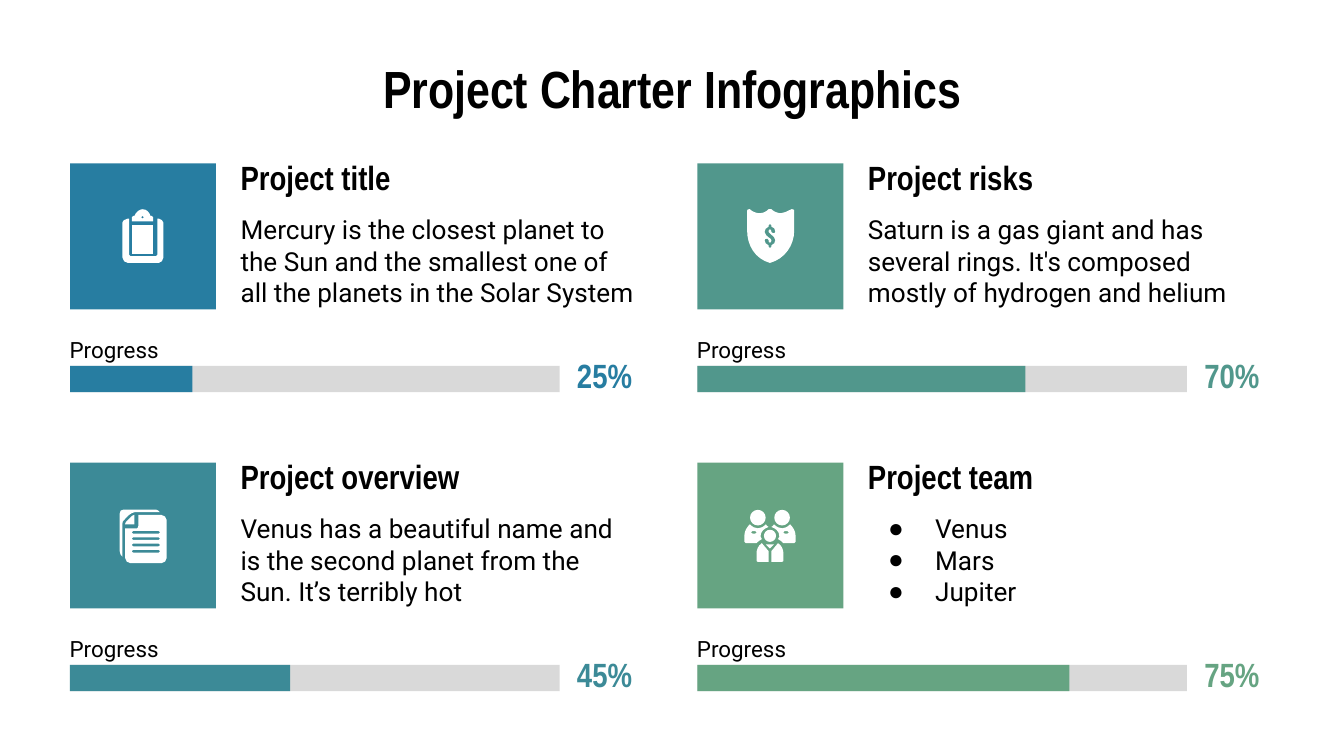
from lxml.etree import SubElement
from pptx import Presentation
from pptx.dml.color import RGBColor
from pptx.enum.shapes import MSO_SHAPE
from pptx.enum.text import MSO_ANCHOR, PP_ALIGN
from pptx.oxml.ns import qn
from pptx.util import Pt

COLORS = {
    "black": "000000", "white": "FFFFFF", "track": "D9D9D9",
    "blue": "277DA1", "teal": "3C8A97", "green": "51978C", "leaf": "66A482",
}
HEADING_FONT, BODY_FONT, BULLET_FONT = "Arial Narrow", "Roboto", "Arial"
LEFT, TOP, COLUMN_STEP, ROW_STEP = 37.5, 87.6, 336.1, 160.2
TILE, BAR_WIDTH, BAR_HEIGHT, TEXT_WIDTH = 78.2, 262.3, 14.1, 226.1
ICON_UNIT = 0.72
TEAM_AXIS = 54


def pill(left, right, top):
    """Contour of a slot two units high with round ends."""
    bottom = top + 2
    return [(right, top), (right + 1.5, top, right + 1.5, bottom, right, bottom),
            (left, bottom), (left - 1.5, bottom, left - 1.5, top, left, top)]


def mirror(contour):
    """Reflect a contour about the vertical axis of the team icon."""
    return [tuple(2 * TEAM_AXIS - value if index % 2 == 0 else value
                  for index, value in enumerate(step)) for step in contour]


def circle(x, y, radius):
    """Contour of a circle made of four cubic curves."""
    k = 0.55 * radius
    left, right, top, bottom = x - radius, x + radius, y - radius, y + radius
    return [(x, top), (x - k, top, left, y - k, left, y),
            (left, y + k, x - k, bottom, x, bottom),
            (x + k, bottom, right, y + k, right, y),
            (right, y - k, x + k, top, x, top)]


# A part is a list of contours. A step is a line end (x, y) or a cubic curve
# (x1, y1, x2, y2, x, y), in icon units from the corner of the tile.
CLIPBOARD = [
    [[(46, 46), (46, 67), (62, 67), (62, 46)]],
    [[(54, 34), (52, 34, 49, 36, 48, 39), (47, 39), (46, 39, 46, 39, 46, 40),
      (46, 43), (62, 43), (62, 40), (62, 39, 62, 39, 61, 39), (60, 39),
      (59, 36, 57, 34, 54, 34)], circle(54, 40, 1)],
    [[(43, 41), (41, 41, 39, 43, 39, 44), (39, 70), (39, 72, 41, 74, 43, 74),
      (66, 74), (68, 74, 69, 72, 69.5, 70), (69.5, 44), (69, 43, 68, 41, 66, 41),
      (65, 41), (65, 68), (65, 69, 64, 69, 64, 69), (45, 69),
      (44, 69, 44, 69, 44, 68), (44, 41)]],
]
DOCUMENTS = [
    [[(40, 35), (38, 35, 37, 36, 37, 38), (37, 66), (37, 68, 38, 69, 39, 70),
      (39, 46), (39, 45, 39, 43, 41, 42), (44, 39), (45, 38, 47, 37, 48, 37),
      (67, 37), (66, 36, 65, 35, 64, 35)]],
    [[(51, 39), (51, 47), (51, 48, 50, 49, 50, 49), (41, 49), (41, 71),
      (41, 73, 43, 75, 45, 75), (68, 75), (70, 75, 72, 73, 72, 71), (72, 43),
      (72, 41, 70, 39, 68, 39)]] + [pill(47, 66, 51 + 4.7 * row) for row in range(4)],
    [[(48, 39), (47, 39, 46, 40, 46, 40), (42, 44), (42, 44, 41, 45, 41, 46), (48, 46)]],
]
SHIELD = [[
    [(54, 45), (55, 45, 55, 45, 55, 46), (55, 47), (57, 47, 58, 49, 58, 51),
     (58, 51, 57, 52, 57, 52), (56, 52, 55, 51, 55, 51), (55, 50, 55, 49, 54, 49),
     (53, 49, 53, 50, 53, 51), (53, 51, 54, 52, 55, 53), (56, 54, 58, 55, 58, 57),
     (58, 59, 57, 60, 55, 61), (55, 62), (55, 63, 55, 63, 54, 63),
     (53, 63, 53, 62, 53, 62), (53, 61), (51, 60, 50, 59, 50, 57),
     (50, 56, 51, 56, 52, 56), (52, 56, 53, 57, 53, 57), (53, 58, 53, 59, 54, 59),
     (55, 59, 55, 58, 55, 57), (55, 56, 54, 56, 53, 55), (52, 54, 50, 53, 50, 51),
     (50, 49, 51, 48, 53, 47), (53, 46), (53, 45, 53, 45, 54, 45)],
    [(70, 34), (66, 36, 64, 37, 62, 37), (60, 37, 57, 36, 55, 34), (53, 34),
     (51, 36, 49, 37, 46, 37), (44, 37, 41, 36, 39, 34), (38, 34, 37, 34, 37, 35),
     (37, 50), (37, 61, 43, 71, 54, 74), (65, 71, 72, 61, 72, 50), (72, 35),
     (72, 34, 71, 34, 70, 34)],
]]
TORSO = [(48, 60), (45, 62, 44, 65, 44, 68), (44, 72), (44, 73, 44, 74, 45, 74),
         (53, 74), (53, 66)]
SHOULDER = [
    (39, 46), (37, 48, 35, 51, 35, 54), (35, 59), (35, 60, 35, 60, 36, 60), (44, 60),
    (45, 59, 46, 58, 48, 57), (48, 56, 47, 56, 47, 55), (47, 51, 50, 49, 53, 48),
    (52, 47, 51, 47, 51, 46), (49, 48, 47, 49, 45, 49), (43, 49, 41, 48, 39, 46)]
SHOULDER_SLOT = pill(41, 43, 51)
TEAM = [
    [circle(54, 54.5, 4.5)], [circle(45, 41, 5.8)], [circle(63, 41, 5.8)],
    [[(51, 61), (54, 64), (57, 61)]],
    [TORSO], [mirror(TORSO)],
    [SHOULDER, SHOULDER_SLOT], [mirror(SHOULDER), mirror(SHOULDER_SLOT)],
]

# column, row, colour, heading, body lines, bulleted, percent, filled share, icon
CARDS = [
    (0, 0, "blue", "Project title",
     ["Mercury is the closest planet to the Sun and the smallest one of all the planets "
      "in the Solar System"], False, "25%", 0.25, CLIPBOARD),
    (0, 1, "teal", "Project overview",
     ["Venus has a beautiful name and is the second planet from the Sun. "
      "It’s terribly hot"], False, "45%", 0.45, DOCUMENTS),
    (1, 0, "green", "Project risks",
     ["Saturn is a gas giant and has several rings. It's composed mostly of hydrogen "
      "and helium"], False, "70%", 0.67, SHIELD),
    (1, 1, "leaf", "Project team", ["Venus", "Mars", "Jupiter"], True,
     "75%", 0.76, TEAM),
]


def paint(shape, color):
    shape.shadow.inherit = False
    shape.fill.solid()
    shape.fill.fore_color.rgb = RGBColor.from_string(COLORS[color])
    shape.line.fill.background()


def add_block(slide, left, top, width, height, color):
    paint(slide.shapes.add_shape(MSO_SHAPE.RECTANGLE, Pt(left), Pt(top),
                                 Pt(width), Pt(height)), color)


def add_run(paragraph, text, size, font, color, bold):
    run = paragraph.add_run()
    run.text = text
    run.font.size, run.font.name, run.font.bold = Pt(size), font, bold
    run.font.color.rgb = RGBColor.from_string(COLORS[color])


def add_bullet(paragraph):
    properties = paragraph._p.get_or_add_pPr()
    properties.set("marL", str(Pt(36)))
    properties.set("indent", str(-Pt(25.2)))
    bullet_color = SubElement(properties, qn("a:buClr"))
    SubElement(bullet_color, qn("a:srgbClr"), val=COLORS["black"])
    SubElement(properties, qn("a:buFont"), typeface=BULLET_FONT)
    SubElement(properties, qn("a:buChar"), char="●")


def fill_frame(frame, lines, size, font, color="black", bold=False,
               align=PP_ALIGN.LEFT, bulleted=False):
    frame.word_wrap = True
    frame.vertical_anchor = MSO_ANCHOR.MIDDLE
    frame.margin_left = frame.margin_right = Pt(7.2)
    frame.margin_top = frame.margin_bottom = Pt(7.2)
    for index, line in enumerate(lines):
        paragraph = frame.add_paragraph() if index else frame.paragraphs[0]
        paragraph.alignment = align
        if bulleted:
            add_bullet(paragraph)
        add_run(paragraph, line, size, font, color, bold)


def add_text(slide, left, top, width, height, lines, size, font, **style):
    box = slide.shapes.add_textbox(Pt(left), Pt(top), Pt(width), Pt(height))
    fill_frame(box.text_frame, lines, size, font, **style)


def bend(shape, steps):
    """Turn the straight segments that stand for cubic curves into curves."""
    segments = list(shape._element.iter(qn("a:lnTo")))
    for segment, step in zip(segments, steps):
        if len(step) == 2:
            continue
        end = segment[0]
        segment.tag = qn("a:cubicBezTo")
        end_x, end_y = int(end.get("x")), int(end.get("y"))
        segment.remove(end)
        for x, y in zip(step[::2], step[1::2]):
            SubElement(segment, qn("a:pt"),
                       x=str(end_x + Pt((x - step[-2]) * ICON_UNIT)),
                       y=str(end_y + Pt((y - step[-1]) * ICON_UNIT)))


def add_icon(slide, left, top, parts):
    shapes = slide.shapes.add_group_shape().shapes
    for contours in parts:
        builder = None
        for contour in contours:
            points = [(Pt(left + step[-2] * ICON_UNIT), Pt(top + step[-1] * ICON_UNIT))
                      for step in contour]
            if builder is None:
                builder = shapes.build_freeform(*points[0])
            else:
                builder.move_to(*points[0])
            builder.add_line_segments(points[1:], close=True)
        shape = builder.convert_to_shape()
        bend(shape, [step for contour in contours for step in contour[1:]])
        paint(shape, "white")


def add_progress(slide, left, top, percent, share, color):
    add_text(slide, left - 7.3, top - 17.9, 90, 18, ["Progress"], 12, BODY_FONT)
    add_text(slide, left + BAR_WIDTH, top - 4, 48.2, 18, [percent], 18, HEADING_FONT,
             color=color, bold=True, align=PP_ALIGN.CENTER)
    for width, bar_color in ((BAR_WIDTH, "track"), (BAR_WIDTH * share, color)):
        add_block(slide, left, top, width, BAR_HEIGHT, bar_color)


def add_card(slide, column, row, color, heading, body, bulleted, percent, share, icon):
    left, top = LEFT + column * COLUMN_STEP, TOP + row * ROW_STEP
    text_left = left + 84.3
    add_block(slide, left, top, TILE, TILE, color)
    add_icon(slide, left, top, icon)
    add_text(slide, text_left, top - 7.7, TEXT_WIDTH, 30.2, [heading], 18, HEADING_FONT, bold=True)
    add_text(slide, text_left, top + 23, TEXT_WIDTH, 58.3, body, 14, BODY_FONT, bulleted=bulleted)
    add_progress(slide, left, top + 108.4, percent, share, color)


def add_title(slide, text):
    title = slide.shapes.title
    title.left, title.top, title.width, title.height = Pt(36), Pt(32.4), Pt(648), Pt(29.5)
    fill_frame(title.text_frame, [text], 28, HEADING_FONT, bold=True, align=PP_ALIGN.CENTER)


def main():
    presentation = Presentation()
    presentation.slide_width, presentation.slide_height = Pt(720), Pt(405)
    slide = presentation.slides.add_slide(presentation.slide_layouts[5])
    add_title(slide, "Project Charter Infographics")
    for card in CARDS:
        add_card(slide, *card)
    presentation.save("out.pptx")


if __name__ == "__main__":
    main()
